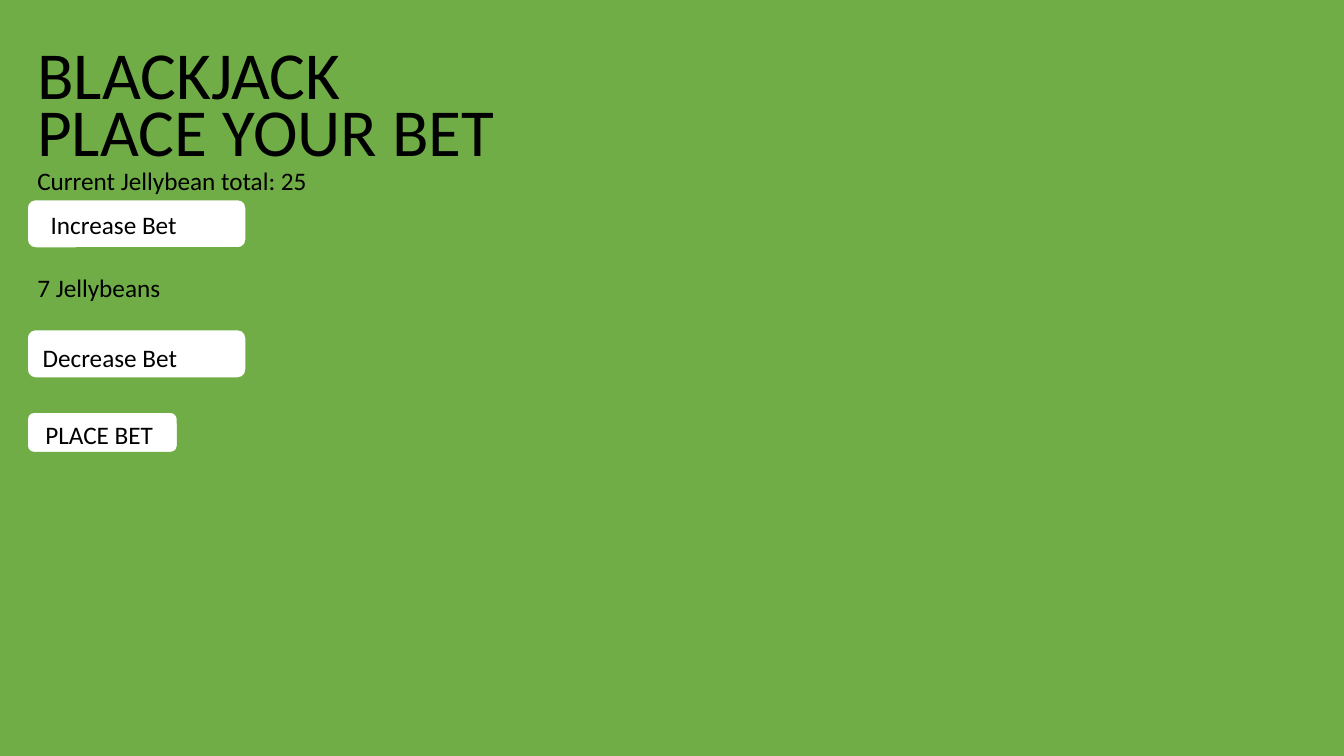
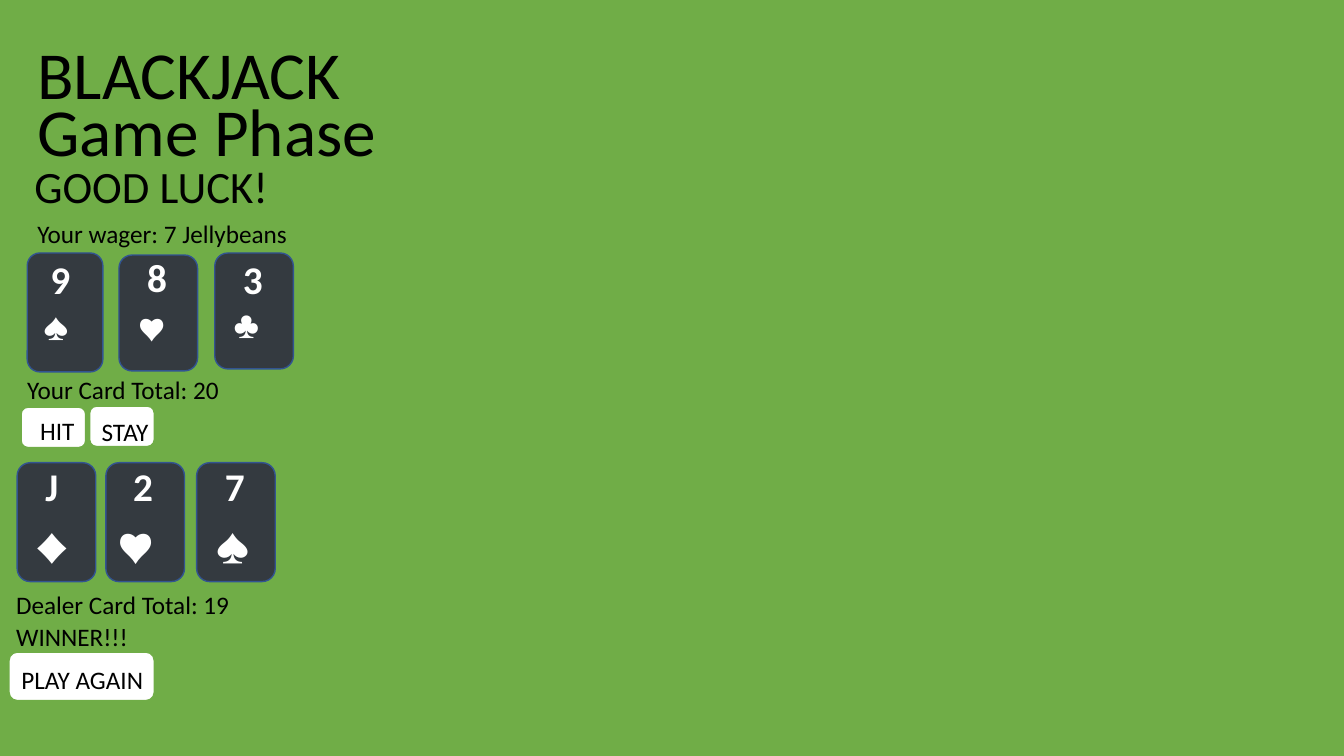
from pptx import Presentation
from pptx.dml.color import RGBColor
from pptx.enum.shapes import MSO_SHAPE
from pptx.enum.text import MSO_ANCHOR, PP_ALIGN
from pptx.util import Pt

PX = 9144
PAGE_WIDTH, PAGE_HEIGHT = 1333, 750
FONT = "Calibri"
TITLE_SIZE, SUBTITLE_SIZE, RANK_SIZE, BODY_SIZE = 48, 32, 28, 18
FELT = RGBColor(0x70, 0xAD, 0x47)
CARD = RGBColor(0x34, 0x3A, 0x40)
CARD_EDGE = RGBColor(0x32, 0x54, 0x91)
WHITE = RGBColor(0xFF, 0xFF, 0xFF)
BLACK = RGBColor(0x00, 0x00, 0x00)


def px(*lengths):
    return [length * PX for length in lengths]


def write(box, text, size, color, bold=False, inset=(0, 0)):
    frame = box.text_frame
    frame.word_wrap = False
    frame.vertical_anchor = MSO_ANCHOR.TOP
    frame.margin_left, frame.margin_top = px(*inset)
    frame.margin_right = frame.margin_bottom = 0
    para = frame.paragraphs[0]
    para.text = text
    para.alignment = PP_ALIGN.LEFT
    para.font.name = FONT
    para.font.size = Pt(size)
    para.font.bold = bold
    para.font.color.rgb = color


def add_label(page, left, top, width, text, size=BODY_SIZE, color=BLACK, bold=False):
    height = round(size * 1.22 * 100 / 72)
    box = page.shapes.add_textbox(*px(left, top, width, height))
    write(box, text, size, color, bold)


def add_panel(page, left, top, width, height, fill, edge):
    panel = page.shapes.add_shape(MSO_SHAPE.ROUNDED_RECTANGLE, *px(left, top, width, height))
    panel.shadow.inherit = False
    panel.fill.solid()
    panel.fill.fore_color.rgb = fill
    panel.line.color.rgb = edge
    panel.line.width = Pt(1)
    return panel


def add_button(page, left, top, width, height, text, inset):
    button = add_panel(page, left, top, width, height, WHITE, FELT)
    write(button, text, BODY_SIZE, BLACK, inset=inset)


def add_card(page, left, top, width, height, rank, rank_offset, suit, suit_offset, suit_size):
    add_panel(page, left, top, width, height, CARD, CARD_EDGE)
    for text, (across, down), size, bold in (
        (rank, rank_offset, RANK_SIZE, True),
        (suit, suit_offset, suit_size, False),
    ):
        add_label(page, left + across, top + down, width - across, text, size, WHITE, bold)


def add_hand(page, left, top, cards, suit_size):
    for across, down, width, height, *faces in cards:
        add_card(page, left + across, top + down, width, height, *faces, suit_size)


def add_table_page(deck, phase):
    page = deck.slides.add_slide(deck.slide_layouts[6])
    page.background.fill.solid()
    page.background.fill.fore_color.rgb = FELT
    for row, text in enumerate(("BLACKJACK", phase)):
        add_label(page, 37, 32 + 57 * row, 602, text, TITLE_SIZE)
    return page


def add_bet_controls(page, left, top):
    add_label(page, left + 10, top, 449, "Current Jellybean total: 25")
    add_button(page, left, top + 34, 217, 48, "Increase Bet", (21, 7))
    add_label(page, left + 10, top + 106, 209, "7 Jellybeans")
    add_button(page, left, top + 163, 217, 48, "Decrease Bet", (13, 10))
    add_button(page, left, top + 245, 149, 40, "PLACE BET", (16, 5))


def add_player_area(page, left, top):
    add_label(page, left + 16, top, 272, "Your wager: 7 Jellybeans")
    add_hand(page, left + 6, top + 34, (
        (0, 0, 75, 118, "9", (23, 2), "♠", (16, 58)),
        (91, 2, 78, 115, "8", (28, -2), "♥", (20, 57)),
        (186, 0, 78, 115, "3", (28, 2), "♣", (19, 56)),
    ), 18)
    add_label(page, left + 6, top + 154, 203, "Your Card Total: 20")
    add_button(page, left, top + 187, 64, 40, "HIT", (17, 6))
    add_button(page, left + 68, top + 186, 64, 40, "STAY", (10, 8))


def add_dealer_area(page, left, top):
    add_hand(page, left + 8, top, (
        (0, 0, 78, 118, "J", (28, 0), "♦", (18, 62)),
        (88, 0, 78, 118, "2", (27, 0), "♥", (13, 62)),
        (178, 0, 78, 118, "7", (28, 0), "♠", (19, 62)),
    ), 24)
    add_label(page, left + 7, top + 126, 215, "Dealer Card Total: 19")
    add_label(page, left + 7, top + 157, 449, "WINNER!!!")
    add_button(page, left, top + 188, 144, 48, "PLAY AGAIN", (10, 10))


def build_bet_page(deck):
    page = add_table_page(deck, "PLACE YOUR BET")
    add_bet_controls(page, 27, 164)


def build_game_page(deck):
    page = add_table_page(deck, "Game Phase")
    add_label(page, 34, 157, 602, "GOOD LUCK!", SUBTITLE_SIZE)
    add_player_area(page, 21, 217)
    add_dealer_area(page, 9, 459)


def main():
    deck = Presentation()
    deck.slide_width, deck.slide_height = px(PAGE_WIDTH, PAGE_HEIGHT)
    build_bet_page(deck)
    build_game_page(deck)
    deck.save("out.pptx")


if __name__ == "__main__":
    main()
